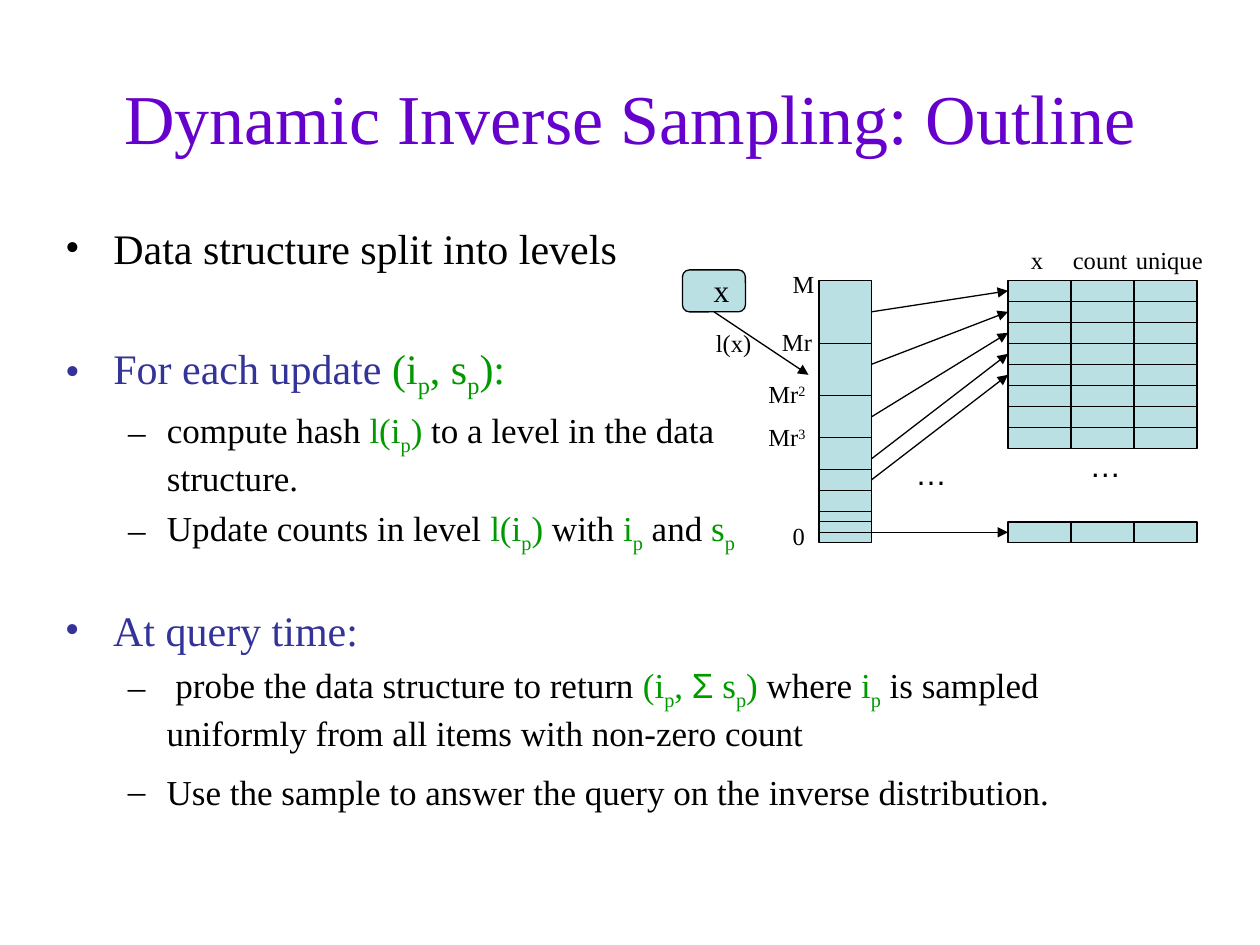
from itertools import groupby

from lxml.etree import SubElement as Sub
from pptx import Presentation
from pptx.dml.color import RGBColor as Rgb
from pptx.enum.shapes import MSO_CONNECTOR as Link, MSO_SHAPE as Kind
from pptx.enum.text import MSO_ANCHOR as Anchor, MSO_AUTO_SIZE as Fit, PP_ALIGN as Align
from pptx.oxml.ns import qn
from pptx.util import Emu, Pt

PX = 7620
HUE = {"title": "6600CC", "head": "333399", "math": "009900", "ink": "000000", "cell": "BBE0E3"}
SERIF, SANS = "Times New Roman", "Arial"


def px(*nums):
    return [Emu(num * PX) for num in nums]


def marks(text, hue):
    tone, base = hue, 0
    for char in text:
        if char in "{}":
            tone = "math" if char == "{" else hue
        elif char in "_^":
            base = -25 if char == "_" else 30
        else:
            yield char, (tone, base, SANS if char in "Σ…" else SERIF)
            base = 0


def write(para, text, size=14, hue="ink", gap=0.0, align=Align.LEFT):
    para.alignment, para.space_before = align, Pt(gap)
    for (tone, base, face), part in groupby(marks(text, hue), lambda item: item[1]):
        run = para.add_run()
        run.text = "".join(char for char, _ in part)
        font = run.font
        font.name, font.size = face, Pt(size)
        font.color.rgb = Rgb.from_string(HUE[tone])
        if base:
            font._element.set("baseline", str(base * 1000))


def bullet(para, level, hue):
    para.level = level
    left, hang = ((46, 46), (97, 37))[level]
    props = para._p.get_or_add_pPr()
    props.set("marL", str(left * PX))
    props.set("indent", str(-hang * PX))
    tint = Sub(props, qn("a:buClr"))
    Sub(tint, qn("a:srgbClr"), val=HUE[hue])
    Sub(props, qn("a:buFont"), typeface=SERIF)
    Sub(props, qn("a:buChar"), char="•–"[level])


def place(shape, box):
    shape.left, shape.top, shape.width, shape.height = px(*box)


def title(shape, box, text):
    place(shape, box)
    frame = shape.text_frame
    frame.auto_size, frame.vertical_anchor = Fit.NONE, Anchor.MIDDLE
    write(frame.paragraphs[0], text, size=40, hue="title", align=Align.CENTER)


def points(shape, box, rows):
    place(shape, box)
    frame = shape.text_frame
    frame.word_wrap, frame.auto_size = True, Fit.NONE
    for num, (level, hue, gap, text) in enumerate(rows):
        para = frame.add_paragraph() if num else frame.paragraphs[0]
        write(para, text, size=(24, 20)[level], hue=hue, gap=gap)
        bullet(para, level, hue)


def label(slide, box, text, size=14):
    frame = slide.shapes.add_textbox(*px(*box)).text_frame
    frame.word_wrap, frame.auto_size = False, Fit.SHAPE_TO_FIT_TEXT
    write(frame.paragraphs[0], text, size=size, gap=size / 4)


def line(slide, ends, arrow=False):
    link = slide.shapes.add_connector(Link.STRAIGHT, *px(*ends))
    link.line.color.rgb = Rgb.from_string(HUE["ink"])
    link.line.width = Pt(0.75)
    if arrow:
        Sub(link.line._get_or_add_ln(), qn("a:tailEnd"), type="triangle")
    Sub(link._element.spPr, qn("a:effectLst"))


def block(slide, box, kind=Kind.RECTANGLE):
    shape = slide.shapes.add_shape(kind, *px(*box))
    shape.shadow.inherit = False
    shape.fill.solid()
    shape.fill.fore_color.rgb = Rgb.from_string(HUE["cell"])
    shape.line.color.rgb = Rgb.from_string(HUE["ink"])
    shape.line.width = Pt(0.75)


def grid(slide, box, cols=(), rows=()):
    x, y, wide, high = box
    block(slide, box)
    for col in cols:
        line(slide, (x + col, y, x + col, y + high))
    for row in rows:
        line(slide, (x, y + row, x + wide, y + row))


def levels(slide, box):
    x, y, wide, high = box
    bar, end, top = x + 130, x + 310, y + 40
    full = x + wide - end
    cols = (60, 120)
    grid(slide, (bar, top, 50, high - 40), rows=(60, 110, 150, 180, 200, 220, 230, 240))
    grid(slide, (end, top, full, 160), cols, range(20, 160, 20))
    grid(slide, (end, y + high - 20, full, 20), cols)
    block(slide, (x, y + 30, 60, 40), Kind.FLOWCHART_ALTERNATE_PROCESS)
    line(slide, (x + 30, y + 70, x + 120, y + 130), arrow=True)
    for start, stop in zip((30, 80, 130, 170, 190, 240), (10, 30, 50, 70, 90, 240)):
        line(slide, (bar + 50, top + start, end, top + stop), arrow=True)
    for left, down, span, text, size in (
        (320, 0, 36, "x", 14), (360, 0, 76, "count", 14), (420, 0, 97, "unique", 14),
        (18, 25, 38, "x", 18), (376, 192, 54, "…", 18), (210, 200, 54, "…", 18),
        (93, 23, 44, "M", 14), (83, 79, 53, "Mr", 14), (70, 128, 59, "Mr^2", 14),
        (70, 169, 59, "Mr^3", 14), (93, 263, 36, "0", 14), (20, 80, 58, "l(x)", 14),
    ):
        label(slide, (x + left, y + down, span, 48 if size > 14 else 41), text, size)


def main():
    deck = Presentation()
    deck.slide_width, deck.slide_height = px(1200, 900)
    slide = deck.slides.add_slide(deck.slide_layouts[1])
    title(slide.shapes.title, (60, 36, 1080, 150), "Dynamic Inverse Sampling: Outline")
    points(slide.placeholders[1], (50, 206, 680, 594), (
        (0, "ink", 6, "Data structure split into levels"),
        (0, "head", 39.6, "For each update {(i_p, s_p):}"),
        (1, "ink", 5, "compute hash {l(i_p)} to a level in the data structure."),
        (1, "ink", 5, "Update counts in level {l(i_p)} with {i_p} and {s_p}"),
    ))
    levels(slide, (650, 227, 490, 290))
    query = slide.shapes.add_textbox(0, 0, 0, 0)
    points(query, (50, 570, 1080, 320), (
        (0, "head", 6, "At query time:"),
        (1, "ink", 5, " probe the data structure to return {(i_p, Σ s_p)} where {i_p} is sampled "
         "uniformly from all items with non-zero count"),
        (1, "ink", 9.6, "Use the sample to answer the query on the inverse distribution."),
    ))
    deck.save("out.pptx")


if __name__ == "__main__":
    main()
